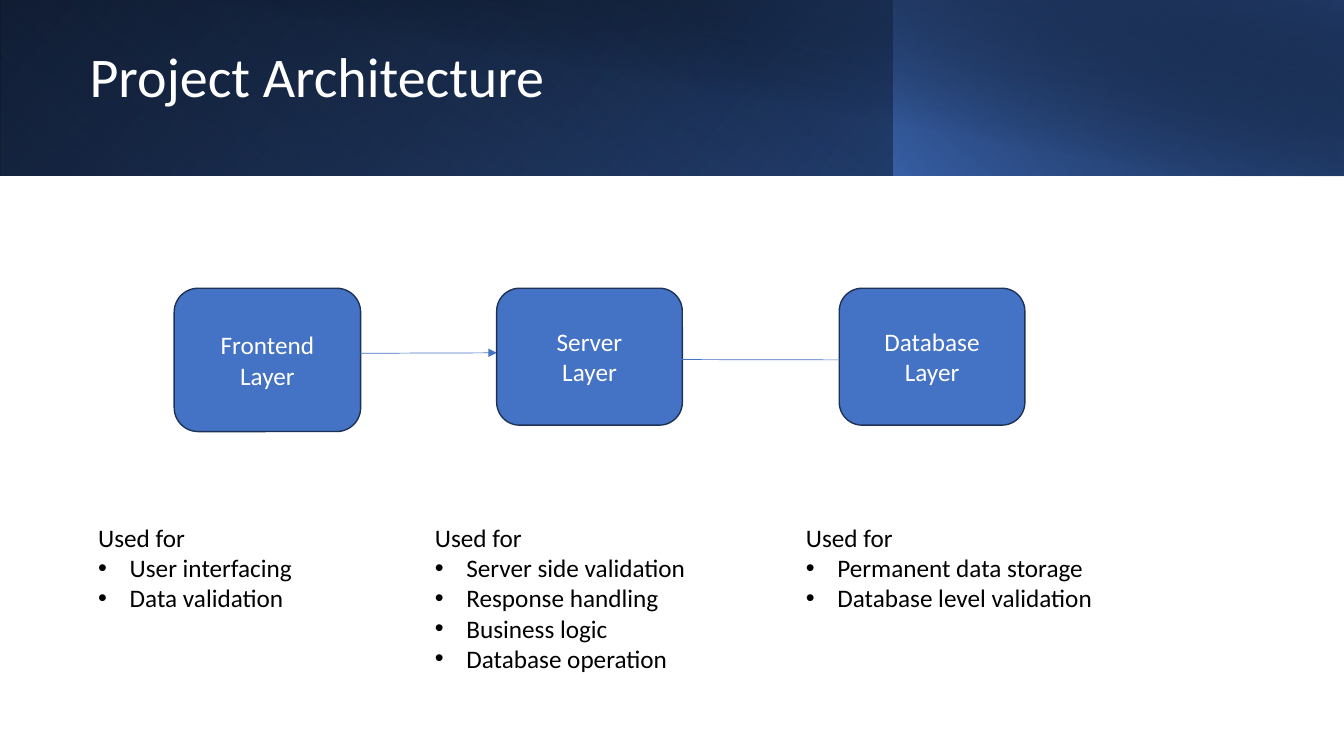
"""Build the Project Architecture slide with its three layers and their uses."""
from dataclasses import dataclass

from lxml.etree import SubElement
from pptx import Presentation
from pptx.dml.color import RGBColor
from pptx.enum.shapes import MSO_CONNECTOR, MSO_SHAPE
from pptx.enum.text import MSO_ANCHOR, MSO_AUTO_SIZE, PP_ALIGN
from pptx.oxml.ns import qn
from pptx.slide import Slide
from pptx.text.text import TextFrame
from pptx.util import Pt

FONT = "Calibri"
WHITE, BLACK = "FFFFFF", "000000"
BLUE, NAVY, OUTLINE = "4472C4", "203864", "1E3256"
BULLET_INDENT = 22.5
LAYER_TOP = 205.9
USES_TOP = 369.4


@dataclass(frozen=True)
class Box:
    left: float
    top: float
    width: float
    height: float

    def lengths(self) -> tuple[Pt, Pt, Pt, Pt]:
        """Return the position and size as lengths."""
        return Pt(self.left), Pt(self.top), Pt(self.width), Pt(self.height)


@dataclass(frozen=True)
class GradientStop:
    position: float
    color: str
    opacity: int = 100


@dataclass(frozen=True)
class BannerPanel:
    box: Box
    angle: int
    stops: tuple[GradientStop, GradientStop]
    flipped: bool = True
    rotation: int = 0


@dataclass(frozen=True)
class Layer:
    name: str
    box: Box


@dataclass(frozen=True)
class Link:
    start: tuple[float, float]
    end: tuple[float, float]
    arrow: bool = False


@dataclass(frozen=True)
class UseList:
    box: Box
    uses: tuple[str, ...]


PANELS = (
    BannerPanel(Box(0, 0, 960, 125.5), 140,
                (GradientStop(0, BLACK), GradientStop(1, "2F5597"))),
    BannerPanel(Box(0, 0, 639, 125.5), 230,
                (GradientStop(0.2, BLUE, 0), GradientStop(1, NAVY, 55)), rotation=180),
    BannerPanel(Box(638.6, 0, 321.4, 125.5), 220,
                (GradientStop(0, BLUE, 66), GradientStop(1, BLACK, 30))),
    BannerPanel(Box(36, 0, 924, 125.8), 280,
                (GradientStop(0.5, BLACK, 0), GradientStop(0.99, NAVY, 52)), flipped=False),
)
FRONTEND = Layer("Frontend", Box(124.4, LAYER_TOP, 133.2, 102.4))
SERVER = Layer("Server", Box(354.8, LAYER_TOP, 132.6, 97.8))
DATABASE = Layer("Database", Box(599.5, LAYER_TOP, 132.6, 97.8))
FRONTEND_TO_SERVER = Link((240.5, 252.4), (354.8, 252), arrow=True)
SERVER_TO_DATABASE = Link((466.6, 256.8), (604.1, 257.1))
FLOW = (FRONTEND, FRONTEND_TO_SERVER, SERVER, DATABASE, SERVER_TO_DATABASE)
USE_LISTS = (
    UseList(Box(63.1, USES_TOP, 216, 72.7), ("User interfacing", "Data validation")),
    UseList(Box(303.6, USES_TOP, 216, 116.3),
            ("Server side validation", "Response handling",
             "Business logic", "Database operation")),
    UseList(Box(568.6, USES_TOP, 219, 94.5),
            ("Permanent data storage", "Database level validation")),
)


def rgb(color: str) -> RGBColor:
    """Turn a hex string into a colour."""
    return RGBColor.from_string(color)


def write_lines(frame: TextFrame, lines: tuple[str, ...], size: float, color: str,
                **paragraph_format: object) -> None:
    """Write one paragraph per line with a shared format."""
    frame.word_wrap = True
    for index, line in enumerate(lines):
        paragraph = frame.add_paragraph() if index else frame.paragraphs[0]
        for attribute, value in paragraph_format.items():
            setattr(paragraph, attribute, value)
        run = paragraph.add_run()
        run.text = line
        for attribute, value in {"name": FONT, "size": Pt(size)}.items():
            setattr(run.font, attribute, value)
        run.font.color.rgb = rgb(color)


def add_panel(slide: Slide, panel: BannerPanel) -> None:
    """Draw one gradient panel of the banner."""
    shape = slide.shapes.add_shape(MSO_SHAPE.RECTANGLE, *panel.box.lengths())
    shape.shadow.inherit = False
    shape.line.fill.background()
    shape.rotation = panel.rotation
    if panel.flipped:
        shape._element.spPr.find(qn("a:xfrm")).set("flipH", "1")
    shape.fill.gradient()
    shape.fill.gradient_angle = 360 - panel.angle
    for gradient_stop, stop in zip(shape.fill.gradient_stops, panel.stops):
        gradient_stop.position = stop.position
        gradient_stop.color.rgb = rgb(stop.color)
    for color, stop in zip(shape._element.spPr.iter(qn("a:srgbClr")), panel.stops):
        SubElement(color, qn("a:alpha"), val=str(stop.opacity * 1000))


def add_title(slide: Slide, title: str) -> None:
    """Write the title over the banner."""
    shape = slide.shapes.add_textbox(*Box(56.9, 15.8, 779, 81.4).lengths())
    shape.text_frame.vertical_anchor = MSO_ANCHOR.MIDDLE
    write_lines(shape.text_frame, (title,), 40, WHITE, line_spacing=0.9)


def add_layer(slide: Slide, layer: Layer) -> None:
    """Draw one layer as a rounded box."""
    shape = slide.shapes.add_shape(MSO_SHAPE.ROUNDED_RECTANGLE, *layer.box.lengths())
    shape.shadow.inherit = False
    shape.fill.solid()
    shape.fill.fore_color.rgb = rgb(BLUE)
    shape.line.color.rgb = rgb(OUTLINE)
    shape.line.width = Pt(1)
    shape.text_frame.vertical_anchor = MSO_ANCHOR.MIDDLE
    write_lines(shape.text_frame, (layer.name, "Layer"), 18, WHITE,
                alignment=PP_ALIGN.CENTER)


def add_link(slide: Slide, link: Link) -> None:
    """Draw the line between two layers."""
    ends = (Pt(length) for length in link.start + link.end)
    connector = slide.shapes.add_connector(MSO_CONNECTOR.STRAIGHT, *ends)
    connector.line.color.rgb = rgb(BLUE)
    connector.line.width = Pt(0.5)
    if link.arrow:
        SubElement(connector.line._get_or_add_ln(), qn("a:tailEnd"), type="triangle")
    SubElement(connector._element.spPr, qn("a:effectLst"))


def add_use_list(slide: Slide, use_list: UseList) -> None:
    """Write the bulleted uses of one layer."""
    shape = slide.shapes.add_textbox(*use_list.box.lengths())
    frame = shape.text_frame
    write_lines(frame, ("Used for", *use_list.uses), 18, BLACK)
    frame.auto_size = MSO_AUTO_SIZE.SHAPE_TO_FIT_TEXT
    for paragraph in frame.paragraphs[1:]:
        properties = paragraph._p.get_or_add_pPr()
        for attribute, indent in {"marL": BULLET_INDENT, "indent": -BULLET_INDENT}.items():
            properties.set(attribute, str(Pt(indent)))
        SubElement(properties, qn("a:buFont"), typeface="Arial")
        SubElement(properties, qn("a:buChar"), char="•")


def main() -> None:
    """Build and save the presentation."""
    presentation = Presentation()
    presentation.slide_width, presentation.slide_height = Pt(960), Pt(540)
    slide = presentation.slides.add_slide(presentation.slide_layouts[6])
    for panel in PANELS:
        add_panel(slide, panel)
    add_title(slide, "Project Architecture")
    for item in FLOW:
        if isinstance(item, Layer):
            add_layer(slide, item)
        else:
            add_link(slide, item)
    for use_list in USE_LISTS:
        add_use_list(slide, use_list)
    presentation.save("out.pptx")


if __name__ == "__main__":
    main()
